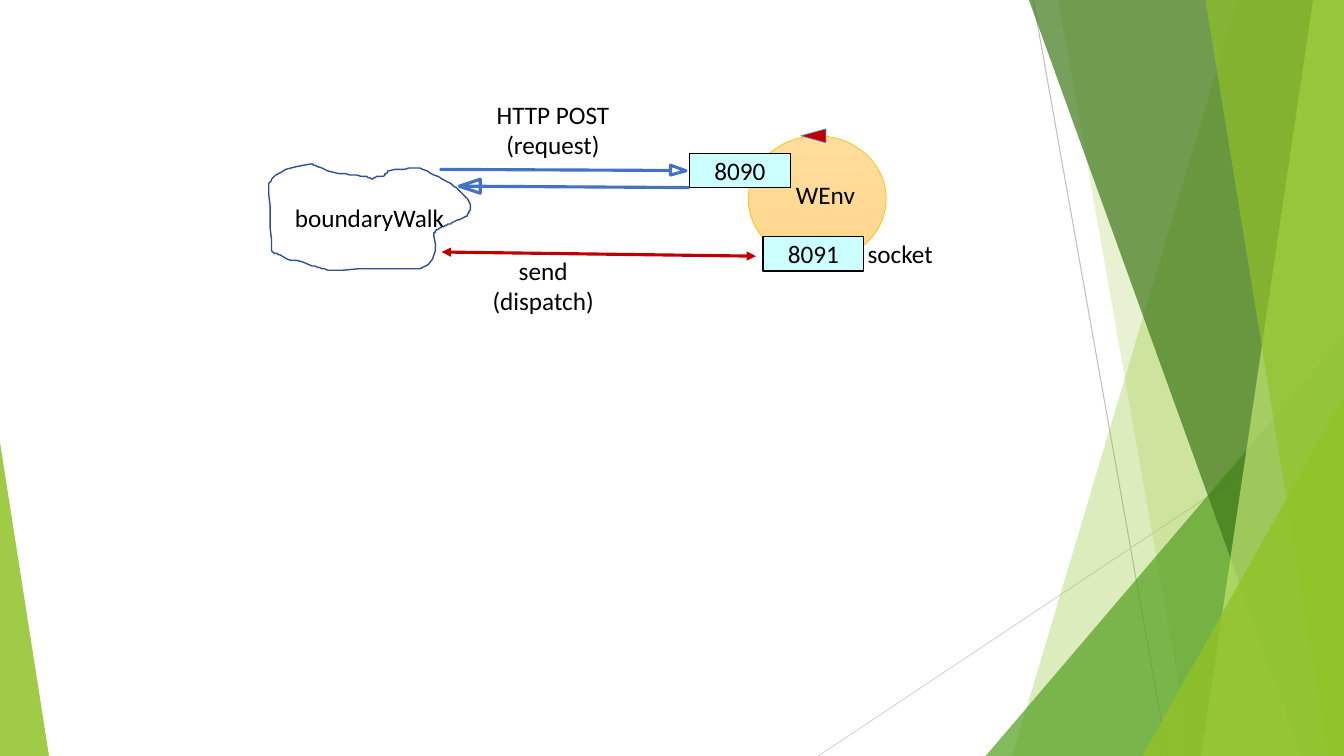
from lxml import etree
from pptx import Presentation
from pptx.dml.color import RGBColor
from pptx.enum.shapes import MSO_CONNECTOR, MSO_SHAPE
from pptx.enum.text import MSO_ANCHOR, PP_ALIGN
from pptx.oxml.ns import qn
from pptx.util import Pt

COLORS = {
    "green": "90C226", "mid": "54A021", "dark": "3F7819", "lime": "C0E474",
    "gray": "BFBFBF", "pale gray": "D9D9D9", "white": "FFFFFF", "black": "000000",
    "blue": "4472C4", "navy": "2F528F", "sky": "5B9BD5", "red": "C00000",
    "cyan": "CCFFFF", "amber": "FFC000", "sun top": "FFDD9C", "sun bottom": "FFD78E",
}
RGB = {name: RGBColor.from_string(value) for name, value in COLORS.items()}

prs = Presentation()
prs.slide_width, prs.slide_height = Pt(960), Pt(540)
s = prs.slides.add_slide(prs.slide_layouts[6])


def style(sp, fill=None, line=None, width=1, alpha=100):
    """Set fill, opacity and outline of a shape or connector."""
    if sp.shape_type is not None and hasattr(sp, "fill"):
        sp.shadow.inherit = False
        if fill:
            sp.fill.solid()
            sp.fill.fore_color.rgb = RGB[fill]
            if alpha < 100:
                clr = sp.fill._xPr.find(".//" + qn("a:srgbClr"))
                etree.SubElement(clr, qn("a:alpha"), val=str(alpha * 1000))
        else:
            sp.fill.background()
    if line:
        sp.line.color.rgb = RGB[line]
        sp.line.width = Pt(width)
    else:
        sp.line.fill.background()
    if not hasattr(sp, "fill"):
        etree.SubElement(sp._element.spPr, qn("a:effectLst"))
    return sp


def write(sp, text, align=PP_ALIGN.CENTER, anchor=MSO_ANCHOR.MIDDLE, wrap=True):
    """Put black 18 pt text into a shape."""
    tf = sp.text_frame
    tf.text = text
    tf.word_wrap = wrap
    tf.vertical_anchor = anchor
    for p in tf.paragraphs:
        p.alignment = align
        p.font.size = Pt(18)
        p.font.name = "Calibri"
        p.font.color.rgb = RGB["black"]


# Background: two thin lines, then translucent facets
for x1, y1, x2, y2, color in [(738, 0, 834, 540, "gray"), (960, 290, 584.5, 540, "pale gray")]:
    style(s.shapes.add_connector(MSO_CONNECTOR.STRAIGHT, Pt(x1), Pt(y1), Pt(x2), Pt(y2)),
          line=color, width=0.75)

facets = [
    ([(884, 0), (960, 0), (960, 540), (723, 540)], "green", 30),
    ([(756, 0), (960, 0), (960, 540), (851, 540)], "green", 20),
    ([(703.5, 540), (960, 240), (960, 540)], "mid", 72),
    ([(735, 0), (960, 0), (960, 540), (929.5, 540)], "dark", 70),
    ([(938, 0), (960, 0), (960, 540), (858, 540)], "lime", 70),
    ([(861, 0), (960, 0), (960, 540), (949, 540)], "green", 65),
    ([(816.5, 540), (960, 283), (960, 540)], "green", 80),
    ([(0, 540), (0, 316), (35, 540)], "green", 85),
]
for points, color, alpha in facets:
    fb = s.shapes.build_freeform(*points[0], scale=Pt(1))
    fb.add_line_segments(points[1:])
    style(fb.convert_to_shape(), color, alpha=alpha)

# WEnv disc with its two ports
disc = style(s.shapes.add_shape(MSO_SHAPE.OVAL, Pt(534.5), Pt(97), Pt(98.5), Pt(90)),
             line="amber", width=0.5)
disc.fill.gradient()
disc.fill.gradient_angle = 270
for stop, color in zip(disc.fill.gradient_stops, ["sun top", "sun bottom"]):
    stop.color.rgb = RGB[color]

fb = s.shapes.build_freeform(590, 102, scale=Pt(1))
fb.add_line_segments([(572.5, 97), (590, 91.5)])
style(fb.convert_to_shape(), "red", "sky", 0.5)

for port, x, y in [("8090", 492.5, 109.5), ("8091", 545, 169)]:
    sp = s.shapes.add_shape(MSO_SHAPE.RECTANGLE, Pt(x), Pt(y), Pt(72), Pt(24.5))
    write(style(sp, "cyan", "black"), port)

# boundaryWalk cloud: each row is two control points and an end point
start = (223, 117)
curves = [
    ((209.5, 120), (205, 119), (197, 125)),
    ((195, 127.5), (193.5, 129), (192, 131)),
    ((193, 147), (192, 163), (194.5, 179)),
    ((195, 181), (198, 181.5), (200, 182)),
    ((213, 189.5), (204.5, 183), (223, 189.5)),
    ((227, 191), (230, 192), (234, 193)),
    ((255.5, 192), (278, 193), (299.5, 191.5)),
    ((315.5, 190), (309.5, 168.5), (310.5, 166.5)),
    ((310.5, 165), (313, 164), (315.5, 162.5)),
    ((317.5, 161), (320.5, 160.5), (323, 159)),
    ((327, 157.5), (330, 156), (333.5, 154)),
    ((335, 152), (336, 150.5), (336, 148.5)),
    ((336, 144), (332.5, 139.5), (328.5, 136)),
    ((324, 133), (320.5, 129.5), (315.5, 127.5)),
    ((310, 125), (305, 122.5), (299.5, 120)),
    ((292.5, 121), (285, 120), (278.5, 121.5)),
    ((276, 122.5), (276, 124.5), (273.5, 125.5)),
    ((270.5, 126.5), (268, 126.5), (265.5, 127.5)),
    ((263, 126.5), (260.5, 126), (258, 125.5)),
    ((252.5, 124.5), (247, 124.5), (242, 124)),
    ((223, 119.5), (227, 118), (223, 117)),
]
steps = 6
outline = []
for c1, c2, end in curves:
    for t in [i / steps for i in range(1, steps + 1)]:
        u = 1 - t
        outline.append(tuple(u**3 * a + 3 * u * u * t * b + 3 * u * t * t * c + t**3 * d
                             for a, b, c, d in zip(start, c1, c2, end)))
    start = end
fb = s.shapes.build_freeform(*outline[-1], scale=Pt(1))
fb.add_line_segments(outline)
write(style(fb.convert_to_shape(), "white", "navy"), "boundaryWalk")

# Request and reply shafts, and the two-way socket arrow
for x1, y1, x2, y2, color in [
    (314, 121, 479, 121.75, "blue"),
    (492.5, 134, 330, 133, "blue"),
    (315.5, 180, 540, 183, "red"),
]:
    cx = style(s.shapes.add_connector(MSO_CONNECTOR.STRAIGHT, Pt(x1), Pt(y1), Pt(x2), Pt(y2)),
               line=color, width=2.25)
for tag in ("a:headEnd", "a:tailEnd"):
    etree.SubElement(cx.line._get_or_add_ln(), qn(tag), type="triangle")

# Open arrowheads
for back, tip, y, half in [(479, 490, 121.75, 3.5), (343, 327.5, 133, 5)]:
    fb = s.shapes.build_freeform(back, y - half, scale=Pt(1))
    fb.add_line_segments([(tip, y), (back, y + half)])
    style(fb.convert_to_shape(), line="blue", width=2.25)

# Labels
for text, x, y, w, h, align, wrap in [
    ("HTTP POST\n(request)", 347, 67.5, 96, 51, PP_ALIGN.CENTER, False),
    ("send\n(dispatch)", 344, 178.5, 88, 51, PP_ALIGN.CENTER, False),
    ("socket", 612, 167, 62, 29, PP_ALIGN.CENTER, False),
    ("WEnv", 561.5, 124.5, 104, 29, PP_ALIGN.LEFT, True),
]:
    write(s.shapes.add_textbox(Pt(x), Pt(y), Pt(w), Pt(h)), text, align, MSO_ANCHOR.TOP, wrap)

prs.save("out.pptx")
